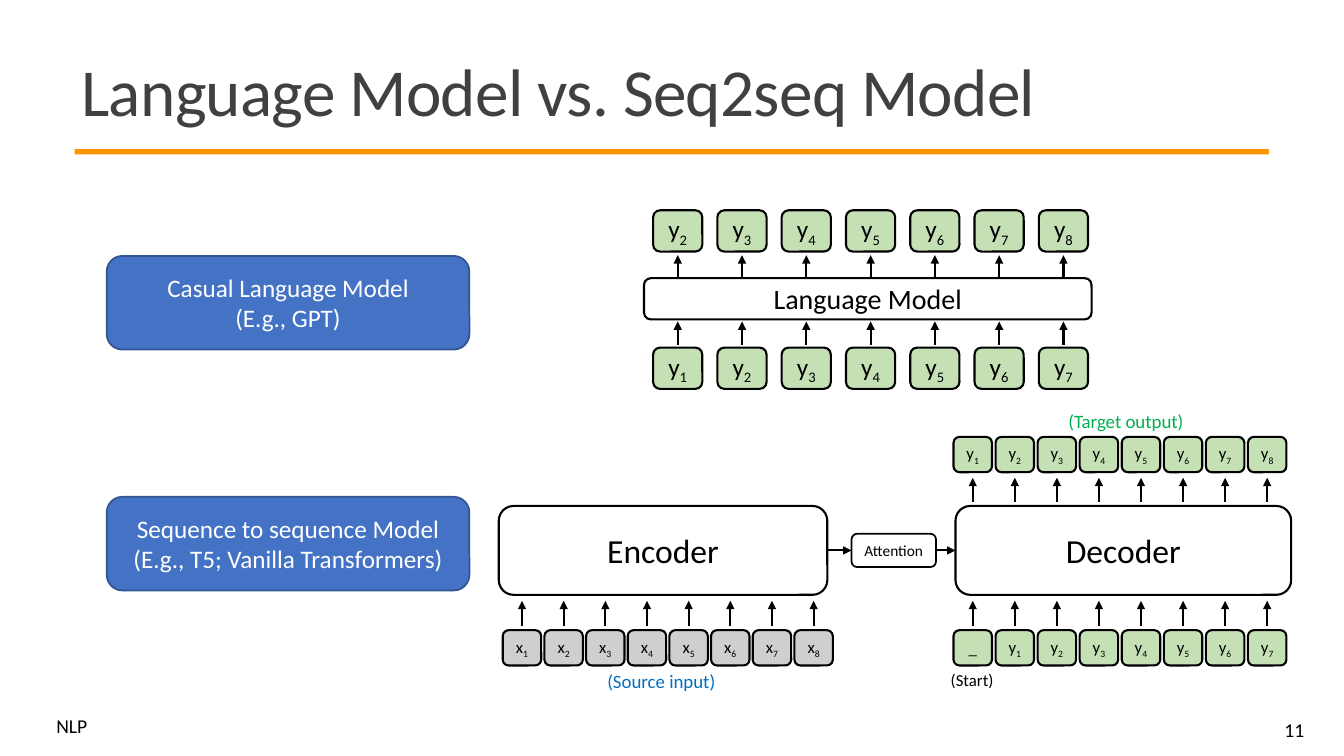
from collections import namedtuple

from lxml import etree
from pptx import Presentation
from pptx import util as u
from pptx.dml import color
from pptx.enum import shapes, text
from pptx.oxml import ns

FONT = "Calibri"
COLORS = {
    "black": "000000", "white": "FFFFFF", "title": "404040", "rule": "FF9400",
    "blue": "4472C4", "blue_edge": "325491", "green": "C5E0B4", "gray": "D0CECE",
    "target": "00B050", "source": "0070C0",
}
Box = namedtuple("Box", "left top width height")
CENTER = text.PP_ALIGN.CENTER


def rgb(name):
    return color.RGBColor.from_string(COLORS[name])


def lengths(box):
    return [u.Cm(value) for value in box]


def format_text(frame, size, ink="black", align=CENTER):
    for para in frame.paragraphs:
        para.alignment = align
        para.font.name = FONT
        para.font.size = u.Pt(size)
        para.font.color.rgb = rgb(ink)


def add_caption(slide, box, words, size, ink="black", align=CENTER,
                anchor=text.MSO_ANCHOR.TOP):
    frame = slide.shapes.add_textbox(*lengths(box)).text_frame
    frame.word_wrap = True
    frame.vertical_anchor = anchor
    frame.text = words
    format_text(frame, size, ink, align)


def add_block(slide, box, words, size, fill=None, edge="black", ink="black", weight=1.5):
    """Add a rounded rectangle with centred text."""
    block = slide.shapes.add_shape(
        shapes.MSO_SHAPE.ROUNDED_RECTANGLE, *lengths(box))
    block.shadow.inherit = False
    if fill:
        block.fill.solid()
        block.fill.fore_color.rgb = rgb(fill)
    else:
        block.fill.background()
    block.line.color.rgb = rgb(edge)
    block.line.width = u.Pt(weight)
    frame = block.text_frame
    frame.margin_left = frame.margin_right = 0
    frame.margin_top = frame.margin_bottom = 0
    frame.vertical_anchor = text.MSO_ANCHOR.MIDDLE
    frame.text = words
    format_text(frame, size, ink)
    return block


def add_arrow(slide, x1=0, y1=0, x2=0, y2=0):
    arrow = slide.shapes.add_connector(
        shapes.MSO_CONNECTOR.STRAIGHT, *lengths((x1, y1, x2, y2)))
    arrow.line.color.rgb = rgb("black")
    arrow.line.width = u.Pt(1.5)
    etree.SubElement(arrow.line._get_or_add_ln(), ns.qn("a:tailEnd"), type="triangle")
    etree.SubElement(arrow._element.spPr, ns.qn("a:effectLst"))
    return arrow


def join(slide, start, end):
    """Draw an arrow from the right side of start to the left side of end."""
    arrow = add_arrow(slide)
    arrow.begin_connect(start, 3)
    arrow.end_connect(end, 1)


def add_tokens(slide, first, pitch, labels, size, fill, arrow_from, arrow_to):
    """Add a row of tokens from the first box on, each with an upward arrow."""
    for index, label in enumerate(labels):
        box = first._replace(left=first.left + index * pitch)
        token = add_block(slide, box, label[0], size, fill)
        if label[1:]:
            span = token.text_frame.paragraphs[0].add_run()
            span.text = label[1:]
            span._r.get_or_add_rPr().set("baseline", "-25000")
        middle = box.left + box.width / 2
        add_arrow(slide, middle, arrow_from, middle, arrow_to)


def numbered(letter, first, last):
    return [f"{letter}{number}" for number in range(first, last + 1)]


def add_heading(slide, box):
    title = slide.shapes.title
    title.left, title.top, title.width, title.height = lengths(box)
    frame = title.text_frame
    frame.text = "Language Model vs. Seq2seq Model"
    frame.vertical_anchor = text.MSO_ANCHOR.MIDDLE
    format_text(frame, 48, "title", text.PP_ALIGN.LEFT)
    para = frame.paragraphs[0]
    para.line_spacing = 0.85
    para.runs[0]._r.get_or_add_rPr().set("spc", "-50")
    rule = slide.shapes.add_shape(
        shapes.MSO_SHAPE.RECTANGLE,
        *lengths((box.left + 0.08, box.top + 2.77, box.width - 0.23, 0.13)))
    rule.shadow.inherit = False
    rule.fill.solid()
    rule.fill.fore_color.rgb = rgb("rule")
    rule.line.fill.background()


def add_model_names(slide, box):
    names = ("Casual Language Model\n(E.g., GPT)",
             "Sequence to sequence Model\n(E.g., T5; Vanilla Transformers)")
    height = 2.36
    for index, name in enumerate(names):
        place = Box(box.left, box.top + index * (box.height - height), box.width, height)
        add_block(slide, place, name, 18, "blue", "blue_edge", "white", 1.25)


def add_language_model(slide, box):
    left, top = box.left, box.top
    add_block(slide, Box(left, top + 1.71, box.width, 1.04), "Language Model", 20)
    token = Box(left + 0.23, top, 1.24, 1.04)
    add_tokens(slide, token, 1.62, numbered("y", 2, 8), 18, "green",
               top + 1.69, top + 1.13)
    add_tokens(slide, token._replace(top=top + 3.46), 1.62, numbered("y", 1, 7), 18,
               "green", top + 3.39, top + 2.8)


def add_seq2seq_model(slide, box):
    left, top = box.left, box.top
    decoder_left = left + 11.51
    encoder = add_block(slide, Box(left, top + 2.56, 8.28, 2.24), "Encoder", 24)
    attention = add_block(slide, Box(left + 8.89, top + 3.26, 2.13, 0.84),
                          "Attention", 11, weight=1.25)
    decoder = add_block(slide, Box(decoder_left, top + 2.56, 8.46, 2.24), "Decoder", 24)
    join(slide, encoder, attention)
    join(slide, attention, decoder)

    source = Box(left + 0.1, top + 5.69, 0.97, 0.89)
    target = source._replace(left=decoder_left - 0.05)
    lower_arrow = (top + 5.58, top + 4.95)
    add_tokens(slide, source, 1.05, numbered("x", 1, 8), 12, "gray", *lower_arrow)
    add_tokens(slide, target, 1.06, ["_"] + numbered("y", 1, 7), 12, "green",
               *lower_arrow)
    add_tokens(slide, target._replace(top=top + 0.82), 1.06, numbered("y", 1, 8), 12,
               "green", top + 2.46, top + 1.85)

    add_caption(slide, Box(decoder_left + 2.11, top, 4.37, 0.84),
                "(Target output)", 13.5, "target")
    add_caption(slide, Box(left + 1.91, top + 6.57, 4.37, 0.84),
                "(Source input)", 13.5, "source")
    add_caption(slide, Box(decoder_left - 0.66, top + 6.57, 2.16, 0.76), "(Start)", 12)


def add_footer(slide, box):
    add_caption(slide, Box(box.left, box.top, 1.55, 0.74), "NLP", 14,
                align=text.PP_ALIGN.LEFT)
    add_caption(slide, Box(box.left + box.width - 3.63, box.top, 3.63, box.height),
                "11", 14, align=text.PP_ALIGN.RIGHT, anchor=text.MSO_ANCHOR.MIDDLE)


def main():
    deck = Presentation()
    deck.slide_width, deck.slide_height = u.Cm(33.87), u.Cm(19.05)
    slide = deck.slides.add_slide(deck.slide_layouts.get_by_name("Title Only"))
    add_heading(slide, Box(1.8, 0.99, 30.33, 2.87))
    add_model_names(slide, Box(2.69, 6.45, 9.14, 8.43))
    add_language_model(slide, Box(16.23, 5.3, 11.28, 4.5))
    add_seq2seq_model(slide, Box(12.57, 10.19, 19.97, 7.41))
    add_footer(slide, Box(1.17, 17.87, 31.95, 1.02))
    deck.save("out.pptx")


if __name__ == "__main__":
    main()
